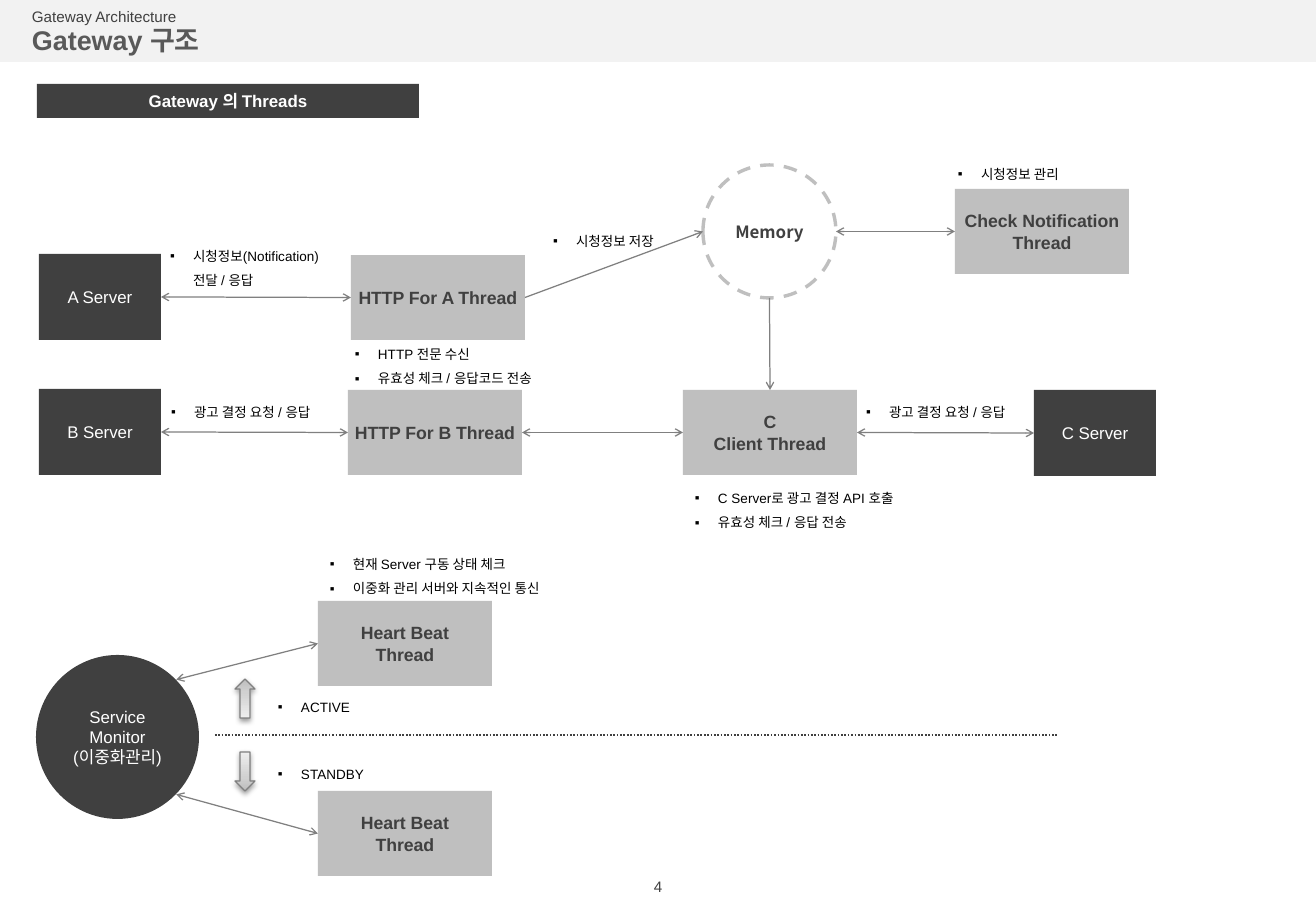
import copy

import pptx
import pptx.dml.color
import pptx.enum.dml
import pptx.enum.shapes
import pptx.enum.text
import pptx.oxml
import pptx.oxml.ns
import pptx.util

SCALE = 914400 / 121.5  # EMU per pixel
SHAPES = pptx.enum.shapes.MSO_SHAPE
ALIGN = pptx.enum.text.PP_ALIGN
DASHES = pptx.enum.dml.MSO_LINE
DARK, GREY, LINE = "404040", "BFBFBF", "808080"
HANGUL_FONT = "Noto Sans CJK KR"
SERVER_SIZE, THREAD_SIZE = (122, 86), (174, 85)
LEFT, RIGHT, TOP, BOTTOM = (0, 0.5), (1, 0.5), (0.5, 0), (0.5, 1)
UPPER_RIGHT, LOWER_RIGHT = (0.86, 0.15), (0.86, 0.85)


def emu(pixels):
    return pptx.util.Emu(round(pixels * SCALE))


def color(value):
    return pptx.dml.color.RGBColor.from_string(value)


def inside(box, left, top, width, height):
    return [emu(n) for n in (box[0] + left, box[1] + top, width, height)]


def add_xml(parent, tag, children="", **attributes):
    values = "".join(f' {name}="{value}"' for name, value in attributes.items())
    namespace = pptx.oxml.ns.nsdecls("a")
    element = pptx.oxml.parse_xml(f"<a:{tag} {namespace}{values}>{children}</a:{tag}>")
    parent.append(element)
    return element


def write(shape, text, size, text_color, bold=False, font="Arial", align=ALIGN.CENTER,
          margins=(12, 6)):
    frame = shape.text_frame
    frame.text = text
    frame.word_wrap = True
    frame.margin_left = frame.margin_right = emu(margins[0])
    frame.margin_top = frame.margin_bottom = emu(margins[1])
    for paragraph in frame.paragraphs:
        paragraph.alignment = align
        for run in paragraph.runs:
            run.font.size = pptx.util.Pt(size)
            run.font.name = font
            run.font.bold = bold
            run.font.color.rgb = color(text_color)
            add_xml(run.font._element, "ea", typeface=HANGUL_FONT)


def add_filled(slide, place, fill, kind=SHAPES.RECTANGLE):
    shape = slide.shapes.add_shape(kind, *place)
    shape.shadow.inherit = False
    shape.fill.solid()
    shape.fill.fore_color.rgb = color(fill)
    shape.line.fill.background()
    shape.text_frame.vertical_anchor = pptx.enum.text.MSO_ANCHOR.MIDDLE
    return shape


def add_server(slide, box, left, top, text):
    shape = add_filled(slide, inside(box, left, top, *SERVER_SIZE), DARK)
    write(shape, text, 10, "FFFFFF")
    return shape


def add_thread(slide, box, left, top, text):
    shape = add_filled(slide, inside(box, left, top, *THREAD_SIZE), GREY)
    write(shape, text, 10.5, DARK, bold=True, margins=(5, 6))
    return shape


def add_note(slide, box, left, top, width, height, text):
    note = slide.shapes.add_textbox(*inside(box, left, top, width, height))
    write(note, text, 8, "000000", align=ALIGN.LEFT)
    for paragraph in note.text_frame.paragraphs:
        paragraph.line_spacing = 1.5
        properties = paragraph._p.get_or_add_pPr()
        properties.set("marL", str(emu(23)))
        properties.set("indent", str(emu(-23)))
        add_xml(properties, "buFont", typeface="Arial")
        add_xml(properties, "buChar", char="▪")


def add_line(slide, start, end, line_color=LINE, width=0.75):
    connector = slide.shapes.add_connector(
        pptx.enum.shapes.MSO_CONNECTOR.STRAIGHT, *start, *end)
    connector.line.color.rgb = color(line_color)
    connector.line.width = pptx.util.Pt(width)
    add_xml(connector._element.spPr, "effectLst")
    return connector


def edge_point(shape, side):
    return (round(shape.left + shape.width * side[0]),
            round(shape.top + shape.height * side[1]))


def link(slide, source, source_side, target, target_side, both=True):
    connector = add_line(slide, edge_point(source, source_side),
                         edge_point(target, target_side))
    line = connector.line._get_or_add_ln()
    for end in ("headEnd", "tailEnd") if both else ("tailEnd",):
        add_xml(line, end, type="arrow", w="sm", len="sm")


def add_state_arrow(slide, place, rotation):
    arrow = slide.shapes.add_shape(SHAPES.DOWN_ARROW, *place)
    arrow.rotation = rotation
    arrow.fill.gradient()
    arrow.fill.gradient_angle = 90
    stop_list = arrow._element.spPr.find(".//" + pptx.oxml.ns.qn("a:gsLst"))
    stop_list.append(copy.deepcopy(stop_list[-1]))
    stops = ((0, "BDBDBD"), (0.35, "D1D1D1"), (1, "EEEEEE"))
    for stop, (position, value) in zip(arrow.fill.gradient_stops, stops):
        stop.position = position
        stop.color.rgb = color(value)
    arrow.line.color.rgb = color(LINE)
    arrow.line.width = pptx.util.Pt(0.75)
    arrow.shadow.inherit = False
    effects = arrow._element.spPr.find(pptx.oxml.ns.qn("a:effectLst"))
    add_xml(effects, "outerShdw",
            '<a:srgbClr val="000000"><a:alpha val="38000"/></a:srgbClr>',
            blurRad=pptx.util.Pt(3.1), dist=pptx.util.Pt(1.6), dir=5400000, rotWithShape=0)


def build_header(slide, box):
    add_filled(slide, inside(box, 0, 0, box[2], box[3]), "F2F2F2")
    for top, height, text, size, text_color, bold in (
            (19, 43, "Gateway 구조", 16, "595959", True),
            (2, 28, "Gateway Architecture", 9, DARK, False)):
        label = slide.shapes.add_textbox(*inside(box, 22, top, 300, height))
        write(label, text, size, text_color, bold, align=ALIGN.LEFT, margins=(10, 5))


def build_section_banner(slide, box):
    banner = add_filled(slide, inside(box, 0, 0, box[2], box[3]), DARK)
    write(banner, "Gateway 의 Threads", 10, "FFFFFF", bold=True)


def build_request_flow(slide, box):
    # Servers and threads
    server_a = add_server(slide, box, 0, 102, "A Server")
    server_b = add_server(slide, box, 0, 237, "B Server")
    server_c = add_server(slide, box, 995, 238, "C Server")
    thread_a = add_thread(slide, box, 312, 103, "HTTP For A Thread")
    thread_b = add_thread(slide, box, 309, 238, "HTTP For B Thread")
    client = add_thread(slide, box, 644, 238, "C\vClient Thread")
    checker = add_thread(slide, box, 916, 37, "Check Notification Thread")

    # Shared memory
    memory = add_filled(slide, inside(box, 664, 13, 133, 133), "FFFFFF", SHAPES.OVAL)
    memory.fill.background()
    memory.line.color.rgb = color(GREY)
    memory.line.width = pptx.util.Pt(2)
    memory.line.dash_style = DASHES.DASH
    write(memory, "Memory", 10, DARK, bold=True, font=HANGUL_FONT)

    # Links
    for source, target in ((server_a, thread_a), (server_b, thread_b), (thread_b, client),
                           (client, server_c), (memory, checker)):
        link(slide, source, RIGHT, target, LEFT)
    link(slide, thread_a, RIGHT, memory, LEFT, both=False)
    link(slide, memory, BOTTOM, client, TOP, both=False)

    # Notes
    add_note(slide, box, 119, 82, 185, 61, "시청정보(Notification) 전달 / 응답")
    add_note(slide, box, 304, 180, 270, 58, "HTTP 전문 수신\n유효성 체크 / 응답코드 전송")
    add_note(slide, box, 644, 324, 270, 61, "C Server로 광고 결정 API 호출\n유효성 체크 / 응답 전송")
    add_note(slide, box, 502, 67, 134, 36, "시청정보 저장")
    add_note(slide, box, 907, 0, 134, 36, "시청정보 관리")
    for left in (120, 815):
        add_note(slide, box, left, 238, 185, 36, "광고 결정 요청 / 응답")


def build_monitoring(slide, box):
    # Monitor and heart beats
    monitor = add_filled(slide, inside(box, 0, 113, 163, 164), DARK, SHAPES.OVAL)
    write(monitor, "Service\vMonitor\v(이중화관리)", 10, "FFFFFF")
    for top, side in ((59, UPPER_RIGHT), (249, LOWER_RIGHT)):
        heart_beat = add_thread(slide, box, 282, top, "Heart Beat\vThread")
        link(slide, heart_beat, LEFT, monitor, side)
    add_note(slide, box, 282, 0, 270, 58,
             "현재 Server 구동 상태 체크\n이중화 관리 서버와 지속적인 통신")

    # Active and standby halves
    divider = add_line(slide, inside(box, 179, 193, 0, 0)[:2],
                       inside(box, box[2], 193, 0, 0)[:2], DARK, 1)
    divider.line.dash_style = DASHES.ROUND_DOT
    for arrow_top, note_top, rotation, state in ((137, 143, 180, "ACTIVE"),
                                                 (210, 210, 0, "STANDBY")):
        add_state_arrow(slide, inside(box, 199, arrow_top, 20, 39), rotation)
        add_note(slide, box, 230, note_top, 270, 34, state)


def build_page_number(slide, box):
    number = slide.shapes.add_textbox(*inside(box, 0, 0, box[2], box[3]))
    write(number, "4", 9, DARK)


presentation = pptx.Presentation()
presentation.slide_width, presentation.slide_height = emu(1316), emu(911)
slide = presentation.slides.add_slide(presentation.slide_layouts[6])
build_header(slide, (0, 0, 1316, 62))
build_section_banner(slide, (37, 84, 382, 34))
build_request_flow(slide, (39, 152, 1117, 385))
build_monitoring(slide, (36, 542, 1021, 334))
build_page_number(slide, (593, 871, 130, 24))
presentation.save("out.pptx")
